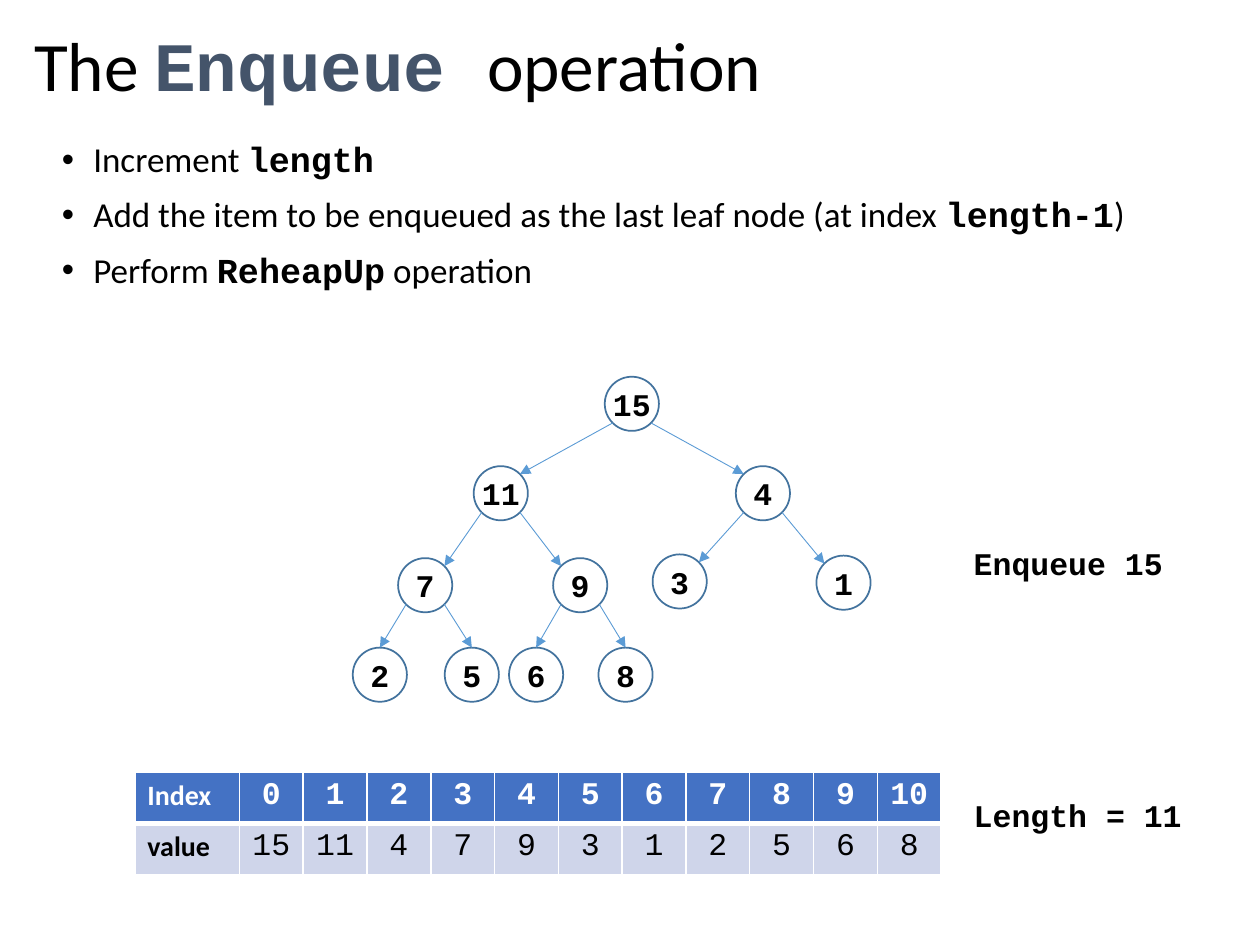
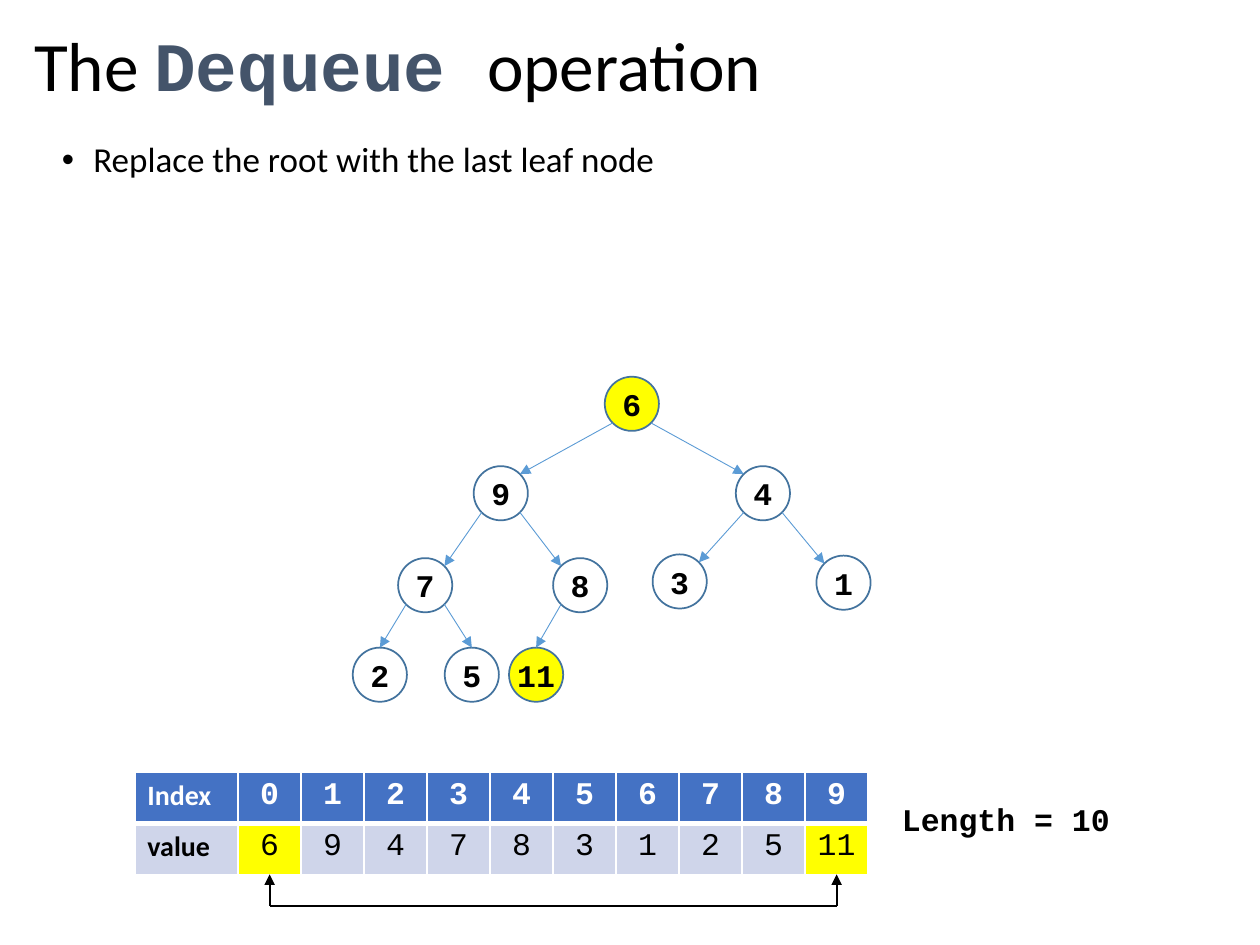
from dataclasses import dataclass
from math import sqrt

from lxml.etree import SubElement
from pptx import Presentation
from pptx.dml.color import RGBColor
from pptx.enum.shapes import MSO_CONNECTOR, MSO_SHAPE
from pptx.enum.text import MSO_ANCHOR, MSO_AUTO_SIZE, PP_ALIGN
from pptx.oxml.ns import qn
from pptx.util import Inches, Pt


@dataclass(frozen=True)
class Theme:
    sans: str = "Calibri"
    mono: str = "Courier New"
    black: str = "000000"
    white: str = "FFFFFF"
    keyword: str = "44546A"
    node_line: str = "43739E"
    edge: str = "5B9BD5"
    header: str = "4472C4"
    band: str = "CFD5EA"
    highlight: str = "FFFF00"
    title_size: float = 39.6
    body_size: int = 20
    value_size: int = 18
    label_size: int = 16


theme = Theme()

# Text pieces are (text, is_code); heap values stand in array order.
SLIDES = [
    {
        "keyword": "Enqueue ",
        "bullets": [
            [("Increment ", False), ("length", True)],
            [("Add the item to be enqueued as the last leaf node (at index ", False),
             ("length-1", True), (")", False)],
            [("Perform ", False), ("ReheapUp", True), (" operation", False)],
        ],
        "heap": [15, 11, 4, 7, 9, 3, 1, 2, 5, 6, 8],
        "swapped": [],
        "table_width": 6.4,
        "label_width": 0.83,
        "notes": [("Enqueue 15", 7.63, 4.27), ("Length = 11", 7.63, 6.27)],
    },
    {
        "keyword": "Dequeue ",
        "bullets": [[("Replace the root with the last leaf node", False)]],
        "heap": [6, 9, 4, 7, 8, 3, 1, 2, 5, 11],
        "swapped": [0, 9],
        "table_width": 5.82,
        "label_width": 0.82,
        "notes": [("Length = 10", 7.06, 6.3)],
    },
]

# Left and top of each tree node, by heap index
NODE_PLACES = [
    (4.8, 2.99),
    (3.76, 3.7), (5.84, 3.7),
    (3.16, 4.43), (4.39, 4.43), (5.18, 4.4), (6.48, 4.41),
    (2.8, 5.14), (3.53, 5.14), (4.04, 5.14), (4.75, 5.14),
]
RADIUS = 0.215
DIAGONAL = RADIUS / sqrt(2)
FIRST_LEAF_ON_LAST_LEVEL = 7
TABLE_LEFT, TABLE_TOP, ROW_HEIGHT = 1.07, 6.13, 0.405
BRACKET_BOTTOM = 7.19


def add_run(paragraph, text, size, font=theme.mono, color=theme.black, bold=False):
    run = paragraph.add_run()
    run.text = text
    run.font.size = Pt(size)
    run.font.name = font
    run.font.bold = bold
    run.font.color.rgb = RGBColor.from_string(color)


def add_line(slide, start, end, color, width, arrow=True):
    line = slide.shapes.add_connector(
        MSO_CONNECTOR.STRAIGHT, *(Inches(value) for value in (*start, *end)))
    line.line.color.rgb = RGBColor.from_string(color)
    line.line.width = Pt(width)
    if arrow:
        SubElement(line.line._get_or_add_ln(), qn("a:tailEnd"), type="triangle")
    SubElement(line._element.spPr, qn("a:effectLst"))


presentation = Presentation()
presentation.slide_width = Inches(10)
presentation.slide_height = Inches(7.5)

for content in SLIDES:
    slide = presentation.slides.add_slide(presentation.slide_layouts[1])
    heap, swapped = content["heap"], content["swapped"]

    # Title and list
    title, body = slide.shapes.title, slide.placeholders[1]
    for placeholder, place, anchor in (
        (title, (0.17, 0.18, 9.62, 0.74), MSO_ANCHOR.MIDDLE),
        (body, (0.39, 1.08, 9.4, 2.34), MSO_ANCHOR.TOP),
    ):
        placeholder.left, placeholder.top, placeholder.width, placeholder.height = map(Inches, place)
        placeholder.text_frame.auto_size = MSO_AUTO_SIZE.NONE
        placeholder.text_frame.vertical_anchor = anchor

    paragraph = title.text_frame.paragraphs[0]
    paragraph.alignment = PP_ALIGN.LEFT
    paragraph.line_spacing = 0.9
    add_run(paragraph, "The ", theme.title_size, theme.sans)
    add_run(paragraph, content["keyword"], theme.title_size, color=theme.keyword, bold=True)
    add_run(paragraph, "operation", theme.title_size, theme.sans)

    for position, pieces in enumerate(content["bullets"]):
        frame = body.text_frame
        paragraph = frame.add_paragraph() if position else frame.paragraphs[0]
        paragraph.line_spacing = 0.9
        paragraph.space_before = Pt(10)
        properties = paragraph._p.get_or_add_pPr()
        properties.set("marL", str(Inches(0.25)))
        properties.set("indent", str(Inches(-0.25)))
        for text, is_code in pieces:
            add_run(paragraph, text, theme.body_size,
                    theme.mono if is_code else theme.sans, bold=is_code)

    # Heap tree: the parent of node i is node (i - 1) // 2
    for index, value in enumerate(heap):
        left, top = NODE_PLACES[index]
        node = slide.shapes.add_shape(MSO_SHAPE.OVAL, Inches(left), Inches(top),
                                      Inches(2 * RADIUS), Inches(2 * RADIUS))
        node.shadow.inherit = False
        if index in swapped:
            node.fill.solid()
            node.fill.fore_color.rgb = RGBColor.from_string(theme.highlight)
        else:
            node.fill.background()
        node.line.color.rgb = RGBColor.from_string(theme.node_line)
        node.line.width = Pt(1)
        frame = node.text_frame
        frame.margin_left = frame.margin_right = frame.margin_top = frame.margin_bottom = 0
        frame.word_wrap = False
        frame.vertical_anchor = MSO_ANCHOR.MIDDLE
        frame.paragraphs[0].alignment = PP_ALIGN.CENTER
        add_run(frame.paragraphs[0], str(value), theme.value_size, bold=True)

        if index:
            parent_left, parent_top = NODE_PLACES[(index - 1) // 2]
            side = -1 if index % 2 else 1
            start = (parent_left + RADIUS + side * DIAGONAL, parent_top + RADIUS + DIAGONAL)
            if index < FIRST_LEAF_ON_LAST_LEVEL:
                end = (left + RADIUS - side * DIAGONAL, top + RADIUS - DIAGONAL)
            else:
                end = (left + RADIUS, top)
            add_line(slide, start, end, theme.edge, 0.5)

    # Array table
    label_width = content["label_width"]
    value_width = (content["table_width"] - label_width) / len(heap)
    table = slide.shapes.add_table(
        2, len(heap) + 1, Inches(TABLE_LEFT), Inches(TABLE_TOP),
        Inches(content["table_width"]), Inches(2 * ROW_HEIGHT)).table
    for column_number, column in enumerate(table.columns):
        column.width = Inches(value_width if column_number else label_width)
    for row_number, texts in enumerate((["Index", *range(len(heap))], ["value", *heap])):
        is_header = row_number == 0
        for column_number, text in enumerate(texts):
            is_label = column_number == 0
            cell = table.cell(row_number, column_number)
            properties = cell._tc.get_or_add_tcPr()
            for edge in ("lnL", "lnR", "lnT", "lnB"):
                thick = (is_header and edge == "lnB") or (not is_header and edge == "lnT")
                border = SubElement(properties, qn(f"a:{edge}"), w=str(Pt(3 if thick else 1)))
                fill = SubElement(border, qn("a:solidFill"))
                SubElement(fill, qn("a:srgbClr"), val=theme.white)
            if is_header:
                color = theme.header
            else:
                color = theme.highlight if column_number - 1 in swapped else theme.band
            cell.fill.solid()
            cell.fill.fore_color.rgb = RGBColor.from_string(color)
            paragraph = cell.text_frame.paragraphs[0]
            if not is_label:
                cell.margin_left = cell.margin_right = Inches(0.05)
                paragraph.alignment = PP_ALIGN.CENTER
            add_run(paragraph, str(text),
                    theme.label_size if is_label else theme.value_size,
                    theme.sans if is_label else theme.mono,
                    theme.white if is_header else theme.black,
                    bold=is_header or is_label)

    # Notes beside the tree and the table
    for text, left, top in content["notes"]:
        note = slide.shapes.add_textbox(Inches(left), Inches(top), Inches(1.86), Inches(0.4))
        note.text_frame.word_wrap = True
        add_run(note.text_frame.paragraphs[0], text, theme.value_size, bold=True)

    # Bracket joining the swapped cells
    if swapped:
        centers = [TABLE_LEFT + label_width + (index + 0.5) * value_width for index in swapped]
        table_bottom = TABLE_TOP + 2 * ROW_HEIGHT
        add_line(slide, (centers[1], BRACKET_BOTTOM), (centers[0], BRACKET_BOTTOM),
                 theme.black, 1.25, arrow=False)
        for center in centers:
            add_line(slide, (center, BRACKET_BOTTOM), (center, table_bottom), theme.black, 1.25)

presentation.save("out.pptx")
